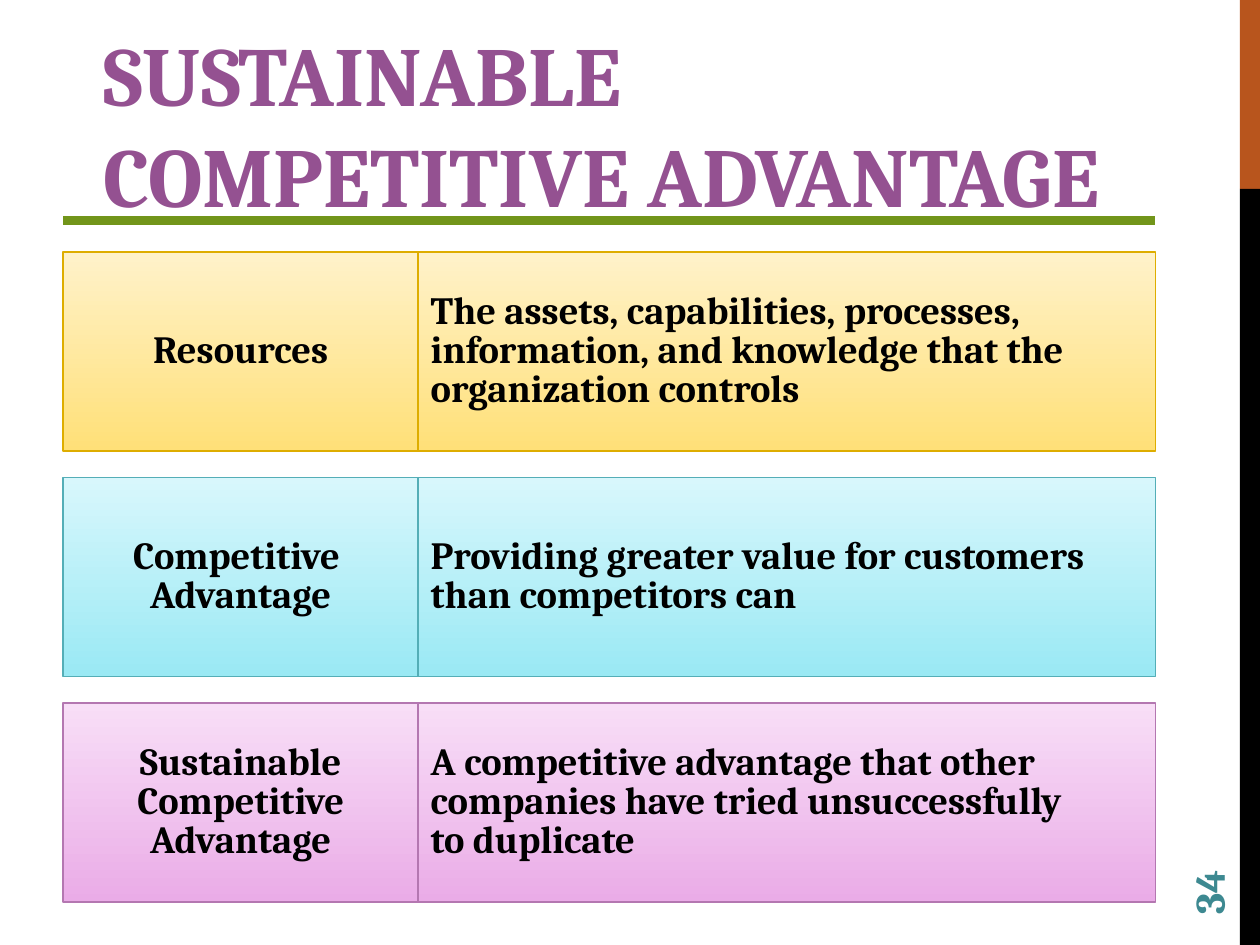
from dataclasses import dataclass

from lxml.etree import SubElement
from pptx import Presentation
from pptx.dml.color import RGBColor
from pptx.enum.shapes import MSO_CONNECTOR, MSO_SHAPE
from pptx.enum.text import MSO_ANCHOR, MSO_AUTO_SIZE, PP_ALIGN
from pptx.oxml.ns import qn
from pptx.util import Inches, Pt


@dataclass(frozen=True)
class Theme:
    font: str = "Cambria"
    title_size: int = 48
    body_size: int = 22
    number_size: int = 24
    title: str = "945191"
    text: str = "000000"
    number: str = "3D8991"
    rule: str = "72951A"
    accent: str = "B8551D"
    band: str = "000000"
    # Bottom, top and outline colour of each row
    rows: tuple = (("FFE078", "FFF2CA", "DEAD00"),
                   ("9AE9F4", "D8F7FC", "54AEB7"),
                   ("EAACE7", "F8DEF7", "B477B1"))


theme = Theme()


def color(value):
    return RGBColor.from_string(value)


def style(p, size, value, align=PP_ALIGN.LEFT, spacing=0.85):
    p.alignment = align
    p.line_spacing = spacing
    p.font.name = theme.font
    p.font.size = Pt(size)
    p.font.bold = True
    p.font.color.rgb = color(value)


prs = Presentation()
prs.slide_width, prs.slide_height = Inches(10), Inches(7.5)
s = prs.slides.add_slide(prs.slide_layouts[5])

# Side band
for top, height, fill in ((0, 1.5, theme.accent), (1.5, 6, theme.band)):
    sp = s.shapes.add_shape(MSO_SHAPE.RECTANGLE, Inches(9.84), Inches(top),
                            Inches(0.16), Inches(height))
    sp.shadow.inherit = False
    sp.fill.solid()
    sp.fill.fore_color.rgb = color(fill)
    sp.line.fill.background()

# Title and the rule behind it
rule = s.shapes.add_connector(MSO_CONNECTOR.STRAIGHT, Inches(0.5), Inches(1.75),
                              Inches(9.17), Inches(1.75))
rule.line.color.rgb = color(theme.rule)
rule.line.width = Pt(4.75)
SubElement(rule._element.spPr, qn("a:effectLst"))

title = s.shapes.title
title.left, title.top = Inches(0.72), Inches(0.33)
title.width, title.height = Inches(8.33), Inches(1.5)
s.shapes._spTree.append(title._element)  # bring in front of the rule
tf = title.text_frame
tf.text = "SUSTAINABLE COMPETITIVE ADVANTAGE"
tf.auto_size = MSO_AUTO_SIZE.NONE
tf.vertical_anchor = MSO_ANCHOR.BOTTOM
style(tf.paragraphs[0], theme.title_size, theme.title, spacing=1.0)

# Rows of term and definition: "\n" starts a paragraph, "\v" breaks a line
rows = [
    ("Resources",
     "The assets, capabilities, processes,\n"
     "information, and knowledge that the\norganization controls"),
    ("Competitive \vAdvantage",
     "Providing greater value for customers\vthan competitors can"),
    ("Sustainable\nCompetitive\nAdvantage",
     "A competitive advantage that other\v"
     "companies have tried unsuccessfully\vto duplicate"),
]
columns = [(0.5, 2.82, PP_ALIGN.CENTER), (3.32, 5.85, PP_ALIGN.LEFT)]
first_top, row_height, row_pitch = 2, 1.58, 1.79

for i, (texts, (bottom, top, outline)) in enumerate(zip(rows, theme.rows)):
    for text, (left, width, align) in zip(texts, columns):
        sp = s.shapes.add_shape(MSO_SHAPE.RECTANGLE, Inches(left),
                                Inches(first_top + i * row_pitch),
                                Inches(width), Inches(row_height))
        sp.shadow.inherit = False
        sp.fill.gradient()
        sp.fill.gradient_angle = 90
        for stop, value in zip(sp.fill.gradient_stops, (bottom, top)):
            stop.color.rgb = color(value)
        sp.line.color.rgb = color(outline)
        sp.line.width = Pt(1)
        tf = sp.text_frame
        tf.text = text
        tf.word_wrap = False
        tf.vertical_anchor = MSO_ANCHOR.MIDDLE
        for p in tf.paragraphs:
            style(p, theme.body_size, theme.text, align)

# Slide number, reading upwards
number = s.shapes.add_textbox(Inches(8.9), Inches(6.44), Inches(1.44), Inches(0.4))
number.rotation = 270
tf = number.text_frame
tf.text = "34"
tf.word_wrap = True
tf.vertical_anchor = MSO_ANCHOR.MIDDLE
style(tf.paragraphs[0], theme.number_size, theme.number)

prs.save("out.pptx")
